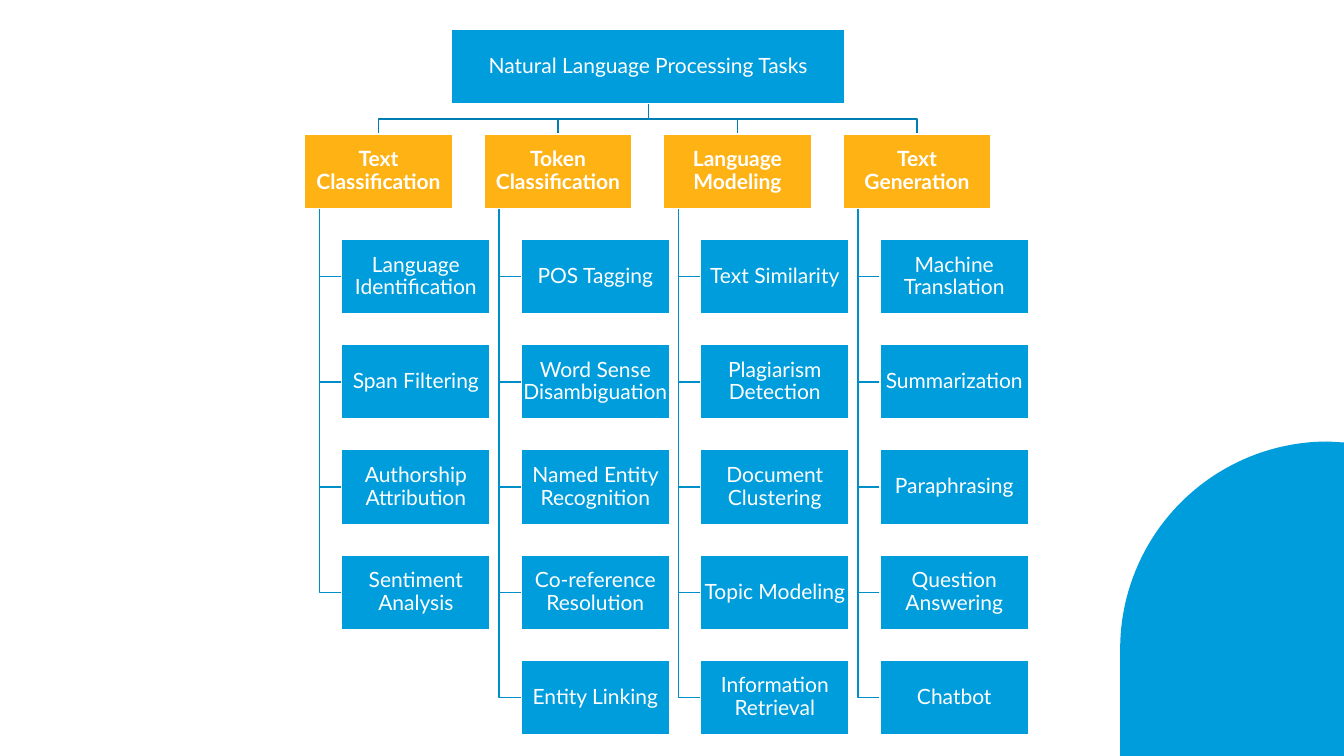
"""Builds a slide with a tree of natural language processing tasks."""
import math
from dataclasses import dataclass

from pptx import Presentation
from pptx.dml.color import RGBColor
from pptx.enum import shapes, text
from pptx.util import Inches, Pt

ROOT = "Natural Language Processing Tasks"
CATEGORIES = {
    "Text Classification": [
        "Language Identification", "Span Filtering",
        "Authorship Attribution", "Sentiment Analysis"],
    "Token Classification": [
        "POS Tagging", "Word Sense Disambiguation",
        "Named Entity Recognition", "Co-reference Resolution", "Entity Linking"],
    "Language Modeling": [
        "Text Similarity", "Plagiarism Detection", "Document Clustering",
        "Topic Modeling", "Information Retrieval"],
    "Text Generation": [
        "Machine Translation", "Summarization", "Paraphrasing",
        "Question Answering", "Chatbot"],
}


@dataclass(frozen=True)
class Theme:
    """Colours and type of the slide."""
    blue: RGBColor = RGBColor.from_string("009DDD")
    amber: RGBColor = RGBColor.from_string("FFB213")
    white: RGBColor = RGBColor.from_string("FFFFFF")
    branch: RGBColor = RGBColor.from_string("007EB1")
    twig: RGBColor = RGBColor.from_string("008EC9")
    font: str = "Lato"
    size: Pt = Pt(15)
    line: Pt = Pt(1)


THEME = Theme()
SLIDE_W, SLIDE_H = 13.33, 7.5
BOX_W, BOX_H = 1.47, 0.74
ROOT_LEFT, ROOT_TOP, ROOT_W = 4.48, 0.29, 3.9
FIRST_LEFT, COLUMN_PITCH = 3.02, 1.78
CATEGORY_TOP, LAST_TOP = 1.33, 6.55
ROW_PITCH = (LAST_TOP - CATEGORY_TOP) / max(map(len, CATEGORIES.values()))
SPINE_INDENT, TASK_INDENT = 0.15, 0.37
CORNER_X, CORNER_Y, CORNER_R = 13.17, 6.44, 2.06


def add_outline(slide, points, close=False):
    """Add a polyline through points given in inches."""
    start, *rest = [(Inches(x), Inches(y)) for x, y in points]
    builder = slide.shapes.build_freeform(*start)
    builder.add_line_segments(rest, close=close)
    outline = builder.convert_to_shape()
    outline.shadow.inherit = False
    return outline


def add_link(slide, points, color):
    """Add an unfilled elbow line."""
    link = add_outline(slide, points)
    link.fill.background()
    link.line.color.rgb = color
    link.line.width = THEME.line


def add_box(slide, label, left, top, width=BOX_W, fill=THEME.blue, bold=False):
    """Add a filled rectangle with a centred label."""
    box = slide.shapes.add_shape(
        shapes.MSO_SHAPE.RECTANGLE,
        Inches(left), Inches(top), Inches(width), Inches(BOX_H))
    box.shadow.inherit = False
    box.fill.solid()
    box.fill.fore_color.rgb = fill
    box.line.color.rgb = THEME.white
    box.line.width = THEME.line
    frame = box.text_frame
    frame.word_wrap = True
    frame.vertical_anchor = text.MSO_ANCHOR.MIDDLE
    frame.margin_left = frame.margin_right = Inches(0.01)
    frame.margin_top = frame.margin_bottom = Inches(0.01)
    frame.text = label
    paragraph = frame.paragraphs[0]
    paragraph.alignment = text.PP_ALIGN.CENTER
    paragraph.line_spacing = 0.9
    paragraph.font.name = THEME.font
    paragraph.font.size = THEME.size
    paragraph.font.bold = bold
    paragraph.font.color.rgb = THEME.white


def add_corner(slide):
    """Add the rounded block in the bottom right corner."""
    arc = [(CORNER_X + CORNER_R * math.cos(math.radians(angle)),
            CORNER_Y + CORNER_R * math.sin(math.radians(angle)))
           for angle in range(180, 271, 2)]
    edge = [(SLIDE_W, 4.39), (SLIDE_W, SLIDE_H), (CORNER_X - CORNER_R, SLIDE_H)]
    corner = add_outline(slide, arc + edge, close=True)
    corner.fill.solid()
    corner.fill.fore_color.rgb = THEME.blue
    corner.line.fill.background()


def add_tree(slide):
    """Add the links, then the boxes on top of them."""
    root_x, root_bottom = ROOT_LEFT + ROOT_W / 2, ROOT_TOP + BOX_H
    fork_y = (root_bottom + CATEGORY_TOP) / 2
    lefts = [FIRST_LEFT + i * COLUMN_PITCH for i in range(len(CATEGORIES))]
    tops = [CATEGORY_TOP + (i + 1) * ROW_PITCH
            for i in range(max(map(len, CATEGORIES.values())))]

    for left, tasks in zip(lefts, CATEGORIES.values()):
        category_x, spine_x = left + BOX_W / 2, left + SPINE_INDENT
        add_link(slide, [(root_x, root_bottom), (root_x, fork_y),
                         (category_x, fork_y), (category_x, CATEGORY_TOP)],
                 THEME.branch)
        for top, _ in zip(tops, tasks):
            task_y = top + BOX_H / 2
            add_link(slide, [(spine_x, CATEGORY_TOP + BOX_H), (spine_x, task_y),
                             (left + TASK_INDENT, task_y)], THEME.twig)

    add_box(slide, ROOT, ROOT_LEFT, ROOT_TOP, ROOT_W)
    for left, (category, tasks) in zip(lefts, CATEGORIES.items()):
        add_box(slide, category, left, CATEGORY_TOP, fill=THEME.amber, bold=True)
        for top, task in zip(tops, tasks):
            add_box(slide, task, left + TASK_INDENT, top)


def main():
    """Build and save the presentation."""
    deck = Presentation()
    deck.slide_width, deck.slide_height = Inches(SLIDE_W), Inches(SLIDE_H)
    slide = deck.slides.add_slide(deck.slide_layouts.get_by_name("Blank"))
    add_corner(slide)
    add_tree(slide)
    deck.save("out.pptx")


if __name__ == "__main__":
    main()
